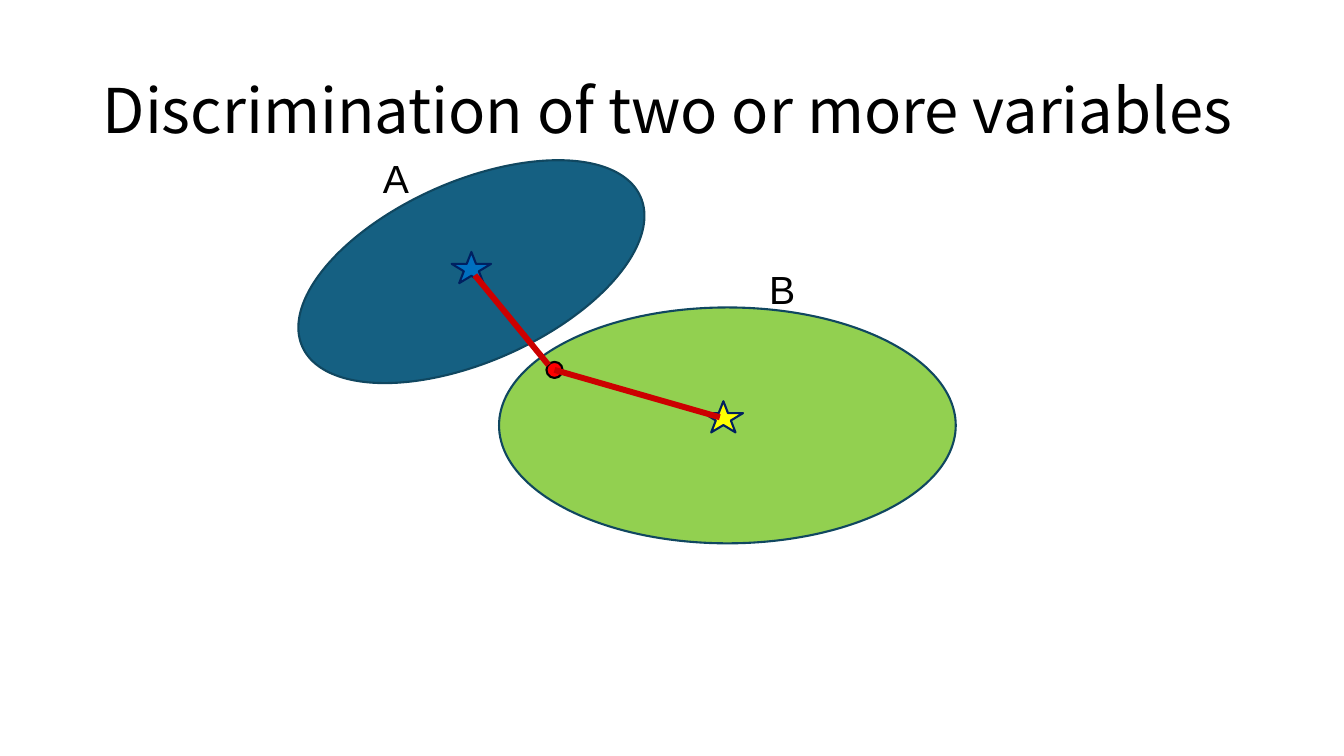
from dataclasses import dataclass

from lxml.etree import SubElement
from pptx import Presentation
from pptx.dml.color import RGBColor
from pptx.enum.shapes import MSO_CONNECTOR, MSO_SHAPE
from pptx.enum.text import MSO_ANCHOR, MSO_AUTO_SIZE, PP_ALIGN
from pptx.oxml.ns import qn
from pptx.slide import Slide
from pptx.util import Inches, Pt

WIDTH, HEIGHT = Inches(13.33), Inches(7.5)
COLOURS = {
    "text": "000000",
    "group a": "156082",
    "group b": "92D050",
    "group edge": "104760",
    "centre a": "0070C0",
    "centre b": "FFFF00",
    "centre edge": "002060",
    "sample": "FF0000",
    "distance": "CC0000",
}


@dataclass
class Area:
    left: float
    top: float
    width: float
    height: float

    def lengths(self) -> tuple[int, int, int, int]:
        """Turn percentages of the slide into lengths."""
        return (across(self.left), down(self.top),
                across(self.width), down(self.height))


@dataclass
class Figure:
    kind: MSO_SHAPE
    area: Area
    fill: str
    edge: str
    rotation: float = 0


@dataclass
class Distance:
    start: tuple[float, float]
    end: tuple[float, float]


@dataclass
class Caption:
    text: str
    area: Area
    size: int
    font: str
    wrap: bool = False
    line_spacing: float = 1.0


FIGURES = [
    Figure(MSO_SHAPE.OVAL, Area(21.31, 24, 27.53, 23.87), "group a", "group edge", 336.1),
    Figure(MSO_SHAPE.OVAL, Area(37.13, 40.67, 33.98, 31.2), "group b", "group edge"),
    Figure(MSO_SHAPE.STAR_5_POINT, Area(52.36, 53.07, 2.93, 4.13), "centre b", "centre edge"),
    Figure(MSO_SHAPE.STAR_5_POINT, Area(33.61, 33.33, 2.93, 4.13), "centre a", "centre edge"),
    Figure(MSO_SHAPE.OVAL, Area(40.66, 47.87, 1.2, 2.13), "sample", "text"),
]
DISTANCES = [
    Distance((35.33, 36.4), (40.81, 48.27)),
    Distance((41.26, 48.93), (53.56, 55.2)),
]
CAPTIONS = [
    Caption("A", Area(27.76, 19.73, 3.45, 7.6), 28, "Arial"),
    Caption("B", Area(56.49, 34.4, 3.45, 7.6), 28, "Arial"),
    Caption("Discrimination of two or more variables", Area(6.9, 5.33, 86.27, 19.33),
            44, "Noto Sans CJK JP", True, 0.9),
]


def across(percent: float) -> int:
    """Give a share of the slide width."""
    return round(WIDTH * percent / 100)


def down(percent: float) -> int:
    """Give a share of the slide height."""
    return round(HEIGHT * percent / 100)


def colour(name: str) -> RGBColor:
    """Look up a named colour."""
    return RGBColor.from_string(COLOURS[name])


def draw_figure(slide: Slide, figure: Figure) -> None:
    """Draw a group, its centre or the sample point."""
    shape = slide.shapes.add_shape(figure.kind, *figure.area.lengths())
    shape.rotation = figure.rotation
    shape.shadow.inherit = False
    shape.fill.solid()
    shape.fill.fore_color.rgb = colour(figure.fill)
    shape.line.color.rgb = colour(figure.edge)
    shape.line.width = Pt(1.5)


def draw_distance(slide: Slide, distance: Distance) -> None:
    """Draw a line between a centre and the sample point."""
    (start_x, start_y), (end_x, end_y) = distance.start, distance.end
    connector = slide.shapes.add_connector(
        MSO_CONNECTOR.STRAIGHT, across(start_x), down(start_y), across(end_x), down(end_y))
    connector.line.color.rgb = colour("distance")
    connector.line.width = Pt(4.25)
    SubElement(connector._element.spPr, qn("a:effectLst"))


def draw_caption(slide: Slide, caption: Caption) -> None:
    """Write the title or a group letter."""
    frame = slide.shapes.add_textbox(*caption.area.lengths()).text_frame
    frame.word_wrap = caption.wrap
    frame.auto_size = MSO_AUTO_SIZE.NONE if caption.wrap else MSO_AUTO_SIZE.SHAPE_TO_FIT_TEXT
    frame.vertical_anchor = MSO_ANCHOR.MIDDLE if caption.wrap else MSO_ANCHOR.TOP
    paragraph = frame.paragraphs[0]
    paragraph.text = caption.text
    paragraph.alignment = PP_ALIGN.LEFT
    paragraph.line_spacing = caption.line_spacing
    paragraph.font.size = Pt(caption.size)
    paragraph.font.name = caption.font
    paragraph.font.color.rgb = colour("text")


def main() -> None:
    """Build and save the slide."""
    presentation = Presentation()
    presentation.slide_width, presentation.slide_height = WIDTH, HEIGHT
    slide = presentation.slides.add_slide(presentation.slide_layouts[6])
    for figure in FIGURES:
        draw_figure(slide, figure)
    for distance in DISTANCES:
        draw_distance(slide, distance)
    for caption in CAPTIONS:
        draw_caption(slide, caption)
    presentation.save("out.pptx")


if __name__ == "__main__":
    main()
